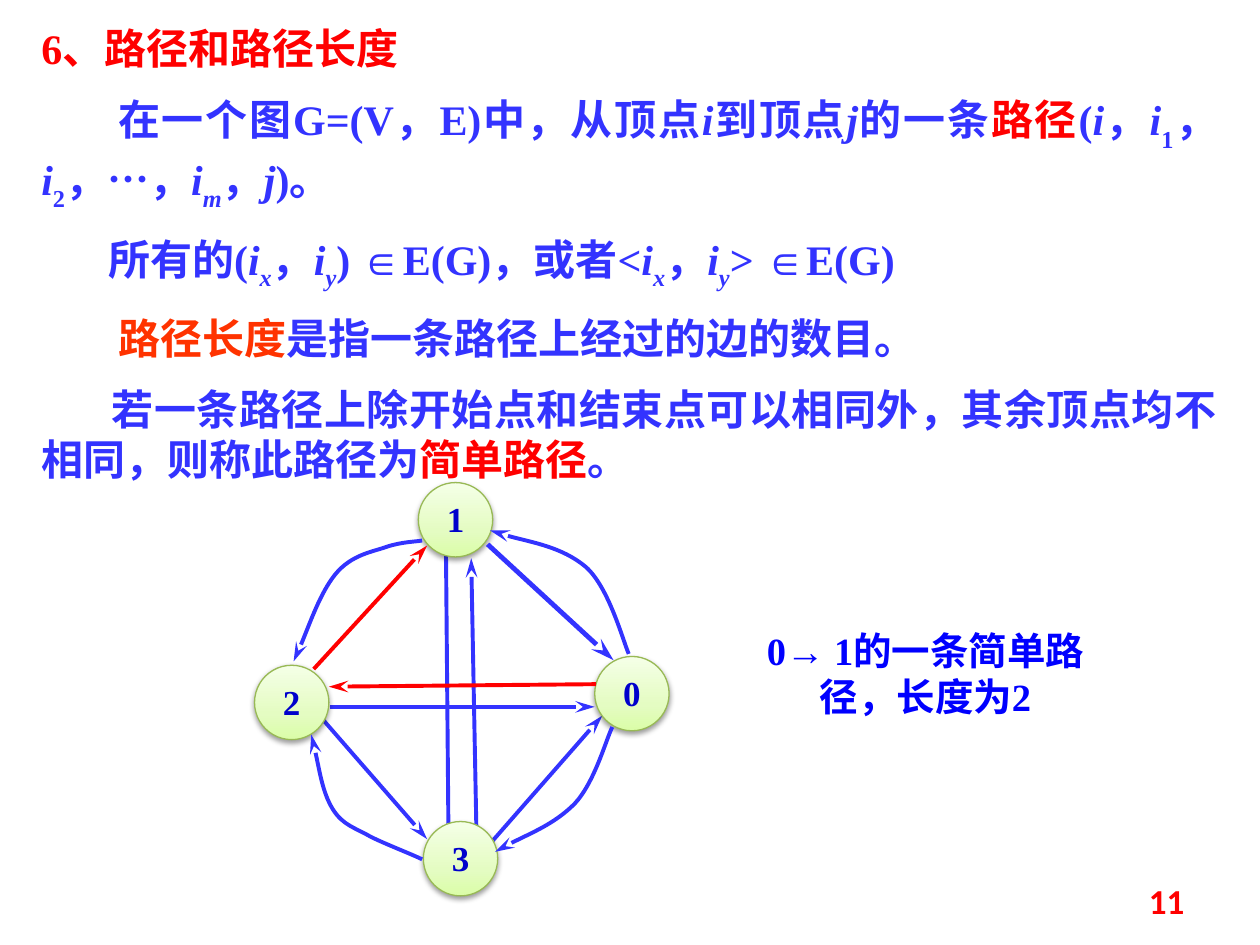
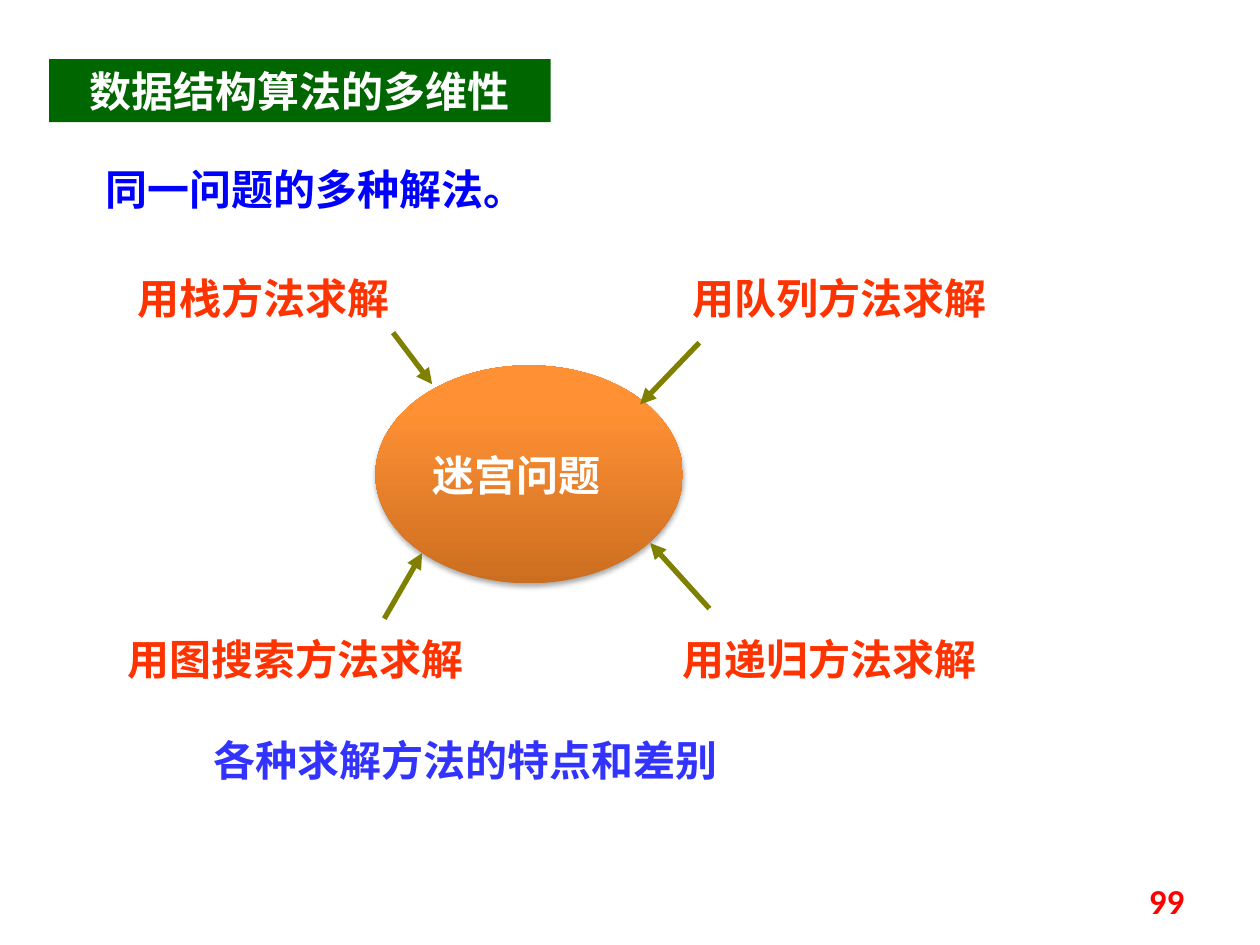
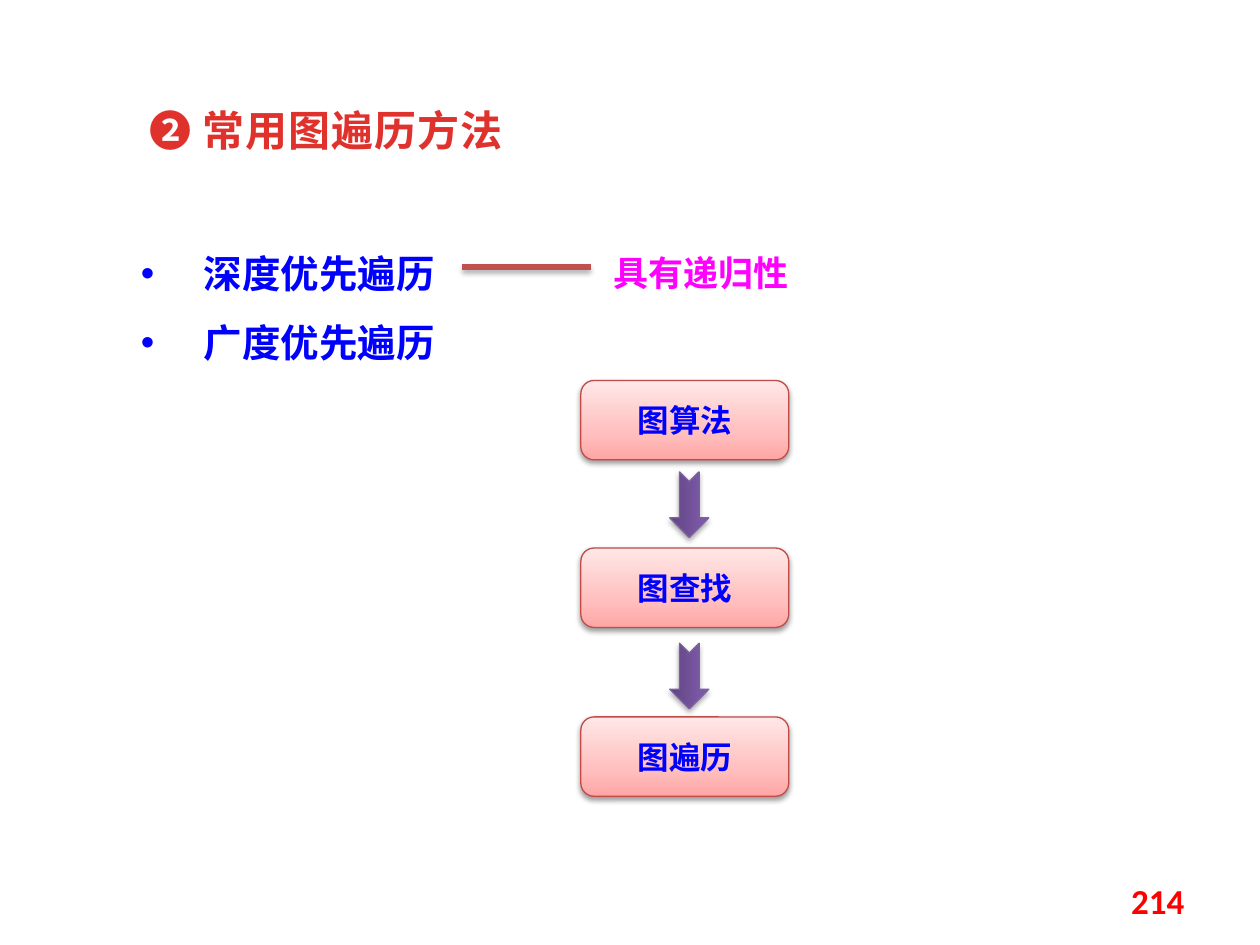
from copy import deepcopy
from dataclasses import dataclass
from typing import NamedTuple

from lxml.etree import SubElement
from pptx import Presentation
from pptx.dml.color import RGBColor
from pptx.enum.shapes import MSO_CONNECTOR as Connector, MSO_SHAPE as Preset
from pptx.enum.text import MSO_ANCHOR as Anchor, MSO_AUTO_SIZE as AutoSize, PP_ALIGN as Align
from pptx.oxml.ns import qn
from pptx.util import Inches, Pt

SERIF = "Times New Roman"
HAN = "Noto Sans CJK SC"
NUMBER_FONT = "Calibri"

RED = "FF0000"
ORANGE_RED = "FF3300"
INDIGO = "3333FF"
BLUE = "0000FF"
NODE_BLUE = "0000CC"
WHITE = "FFFFFF"
GREEN = "006600"
OLIVE = "808000"
MAGENTA = "FF00FF"
TITLE_RED = "E0322D"
BRICK = "C0504D"


class Box(NamedTuple):
    """Left, top, width and height in inches."""
    left: float
    top: float
    width: float
    height: float


class Run(NamedTuple):
    """A stretch of text and what sets it apart from its style."""
    text: str
    color: str = ""
    italic: bool = False
    baseline: int = 0
    font: str = ""


class Shadow(NamedTuple):
    """Opacity in percent and distance in points of a downward shadow."""
    opacity: int
    distance: float


@dataclass(frozen=True)
class TextStyle:
    """Character and paragraph settings of a text."""
    size: float
    color: str
    font: str = HAN
    align: Align = Align.LEFT
    line_spacing: float | Pt | None = None
    space_before: float = 0
    bullet: bool = False
    tracking: int = 0


@dataclass(frozen=True)
class Look:
    """Gradient, outline and shadow of a shape."""
    stops: tuple[tuple[float, str], ...]
    shadow: Shadow
    line: str = ""


class Arrow(NamedTuple):
    """A straight line with an arrowhead at its end."""
    start: tuple[float, float]
    end: tuple[float, float]
    color: str = INDIGO
    width: float = 2.25
    head: str = "stealth"


class Label(NamedTuple):
    """A method's caption and its arrow to the problem."""
    text: str
    box: Box
    arrow: Arrow


SOFT_SHADOW = Shadow(38, 1.6)
DEEP_SHADOW = Shadow(35, 1.8)
NODE_LOOK = Look(((0, "DAFDA7"), (0.35, "E4FCC2"), (1, "F5FFE7")), SOFT_SHADOW, "98B955")
MAZE_LOOK = Look(((0, "CC6E20"), (0.8, "FF9034"), (1, "FF9136")), DEEP_SHADOW)
STEP_LOOK = Look(((0, "FFA6A5"), (0.35, "FFC0BF"), (1, "FFE7E7")), SOFT_SHADOW, "BF4C48")
DOWN_LOOK = Look(((0, "5F4480"), (0.8, "7B58A6"), (1, "7C57A8")), DEEP_SHADOW, "7D60A0")

PAGE_NUMBER = TextStyle(20, RED, NUMBER_FONT, Align.RIGHT)
DEFINITION = TextStyle(24, INDIGO, SERIF, Align.JUSTIFY, space_before=12)
NODE_TEXT = TextStyle(20, NODE_BLUE, SERIF, Align.CENTER, 0.72)
METHOD = TextStyle(24, ORANGE_RED)
STEP_TEXT = TextStyle(18, BLUE, align=Align.CENTER)


def rgb(color: str) -> RGBColor:
    """Turn a hex string into a colour."""
    return RGBColor.from_string(color)


def italic(text: str) -> Run:
    """Make an italic run."""
    return Run(text, italic=True)


def subscript(text: str, slanted: bool = False, baseline: int = -30) -> Run:
    """Make a subscript run."""
    return Run(text, italic=slanted, baseline=baseline)


def add_run(paragraph, run: Run, style: TextStyle) -> None:
    """Append one run to a paragraph."""
    piece = paragraph.add_run()
    piece.text = run.text
    font = piece.font
    font.name = run.font or style.font
    font.size = Pt(style.size)
    font.bold = True
    font.italic = run.italic
    font.color.rgb = rgb(run.color or style.color)
    properties = piece._r.get_or_add_rPr()
    SubElement(properties, qn("a:ea"), typeface=HAN)
    if run.baseline:
        properties.set("baseline", str(run.baseline * 1000))
    if style.tracking:
        properties.set("spc", str(style.tracking))


def write(shape, paragraphs: list[list[Run]], style: TextStyle,
          indents: tuple[float, ...] = ()) -> None:
    """Fill a shape with paragraphs of runs."""
    frame = shape.text_frame
    for index, runs in enumerate(paragraphs):
        paragraph = frame.add_paragraph() if index else frame.paragraphs[0]
        paragraph.alignment = style.align
        if style.line_spacing:
            paragraph.line_spacing = style.line_spacing
        if index and style.space_before:
            paragraph.space_before = Pt(style.space_before)
        properties = paragraph._p.get_or_add_pPr()
        if indents:
            properties.set("indent", str(Inches(indents[index])))
        if style.bullet:
            properties.set("marL", str(Inches(0.5)))
            properties.set("indent", str(Inches(-0.5)))
            SubElement(properties, qn("a:buFont"), typeface="Arial")
            SubElement(properties, qn("a:buChar"), char="•")
        for run in runs:
            add_run(paragraph, run, style)


def add_text(slide, box: Box, paragraphs: list[list[Run]], style: TextStyle,
             indents: tuple[float, ...] = (), grow: bool = True):
    """Add a wrapping text box."""
    shape = slide.shapes.add_textbox(*map(Inches, box))
    frame = shape.text_frame
    frame.word_wrap = True
    frame.auto_size = AutoSize.SHAPE_TO_FIT_TEXT if grow else AutoSize.NONE
    write(shape, paragraphs, style, indents)
    return shape


def set_shadow(shape, shadow: Shadow | None = None) -> None:
    """Give a shape its own shadow, or none."""
    effects = SubElement(shape._element.spPr, qn("a:effectLst"))
    if shadow:
        outer = SubElement(effects, qn("a:outerShdw"), blurRad=str(Pt(3.1)),
                           dist=str(Pt(shadow.distance)), dir="5400000", rotWithShape="0")
        color = SubElement(outer, qn("a:srgbClr"), val="000000")
        SubElement(color, qn("a:alpha"), val=str(shadow.opacity * 1000))


def set_line(shape, color: str, width: float, head: str = "") -> None:
    """Set a line's colour, width and arrowhead."""
    shape.line.color.rgb = rgb(color)
    shape.line.width = Pt(width)
    if head:
        SubElement(shape._element.spPr.find(qn("a:ln")), qn("a:tailEnd"), type=head,
                   w="med", len="lg" if head == "stealth" else "med")


def add_gradient_shape(slide, preset: Preset, box: Box, look: Look):
    """Add a preset shape shaded from bottom to top."""
    shape = slide.shapes.add_shape(preset, *map(Inches, box))
    shape.fill.gradient()
    shape.fill.gradient_angle = 90
    stop_list = shape._element.spPr.find(f"{qn('a:gradFill')}/{qn('a:gsLst')}")
    stop_list.append(deepcopy(stop_list[0]))
    for stop, (position, color) in zip(shape.fill.gradient_stops, look.stops):
        stop.position = position
        stop.color.rgb = rgb(color)
    if look.line:
        set_line(shape, look.line, 0.75)
    else:
        shape.line.fill.background()
    set_shadow(shape, look.shadow)
    return shape


def add_arrow(slide, arrow: Arrow, shadow: Shadow | None = None) -> None:
    """Add a straight line."""
    line = slide.shapes.add_connector(Connector.STRAIGHT, *map(Inches, arrow.start + arrow.end))
    set_line(line, arrow.color, arrow.width, arrow.head)
    set_shadow(line, shadow)


def add_curve(slide, points: list[tuple[float, float]]) -> None:
    """Add an arrow along Bézier segments of three points each."""
    start, *rest = [(Inches(x), Inches(y)) for x, y in points]
    builder = slide.shapes.build_freeform(*start)
    builder.add_line_segments(rest, close=False)
    curve = builder.convert_to_shape()
    outline = curve._element.spPr.find(f".//{qn('a:path')}")
    segments = outline.findall(qn("a:lnTo"))
    for first in range(0, len(segments), 3):
        bend = SubElement(outline, qn("a:cubicBezTo"))
        for segment in segments[first:first + 3]:
            bend.append(segment[0])
            outline.remove(segment)
    curve.fill.background()
    set_line(curve, INDIGO, 2.25, "stealth")
    set_shadow(curve)


def new_slide(presentation, number: int):
    """Add a blank slide with its page number."""
    slide = presentation.slides.add_slide(presentation.slide_layouts[6])
    shape = add_text(slide, Box(7.17, 6.95, 2.33, 0.4), [[Run(str(number))]],
                     PAGE_NUMBER, grow=False)
    shape.text_frame.vertical_anchor = Anchor.MIDDLE
    return slide


def add_node(slide, name: str, left: float, top: float) -> None:
    """Add a numbered vertex of the graph."""
    node = add_gradient_shape(slide, Preset.OVAL, Box(left, top, 0.59, 0.59), NODE_LOOK)
    frame = node.text_frame
    frame.margin_left = frame.margin_right = frame.margin_bottom = 0
    frame.margin_top = Inches(0.12)
    frame.vertical_anchor = Anchor.TOP
    write(node, [[Run(name)]], NODE_TEXT)


def build_path_slide(presentation) -> None:
    """Define paths and show a simple one in a graph."""
    slide = new_slide(presentation, 11)
    comma = Run("，")
    pair = [italic("i"), subscript("x", True, -25), comma,
            italic("i"), subscript("y", True, -25)]
    definitions = [
        [Run("6、路径和路径长度", RED)],
        [Run("在一个图G=(V，E)中，从顶点"), italic("i"), Run("到顶点"), italic("j"),
         Run("的一条"), Run("路径", RED), Run("("), italic("i"), comma,
         italic("i"), subscript("1"), comma, italic("i"), subscript("2"), comma,
         Run("…", font=HAN), comma, italic("i"), subscript("m", True), comma,
         italic("j"), Run(")。")],
        [Run("所有的("), *pair, Run(") ∈E(G)，或者<"), *pair, Run("> ∈E(G)")],
        [Run("路径长度", ORANGE_RED), Run("是指一条路径上经过的边的数目。")],
        [Run("若一条路径上除开始点和结束点可以相同外，其余顶点均不相同，则称此路径为"),
         Run("简单路径", RED), Run("。")],
    ]
    add_text(slide, Box(0.23, 0.13, 9.53, 3.86), definitions, DEFINITION,
             (0, 0.61, 0.53, 0.61, 0.56))

    for arrow in (
        Arrow((3.54, 4.41), (3.56, 6.7), head="arrow"),
        Arrow((3.79, 7.05), (3.74, 4.43)),
        Arrow((2.62, 5.61), (4.72, 5.61)),
        Arrow((2.37, 5.49), (3.39, 6.66)),
        Arrow((3.79, 6.81), (4.78, 5.68)),
    ):
        add_arrow(slide, arrow)

    nodes = {"1": (3.32, 3.83), "0": (4.72, 5.21), "2": (2.02, 5.28), "3": (3.36, 6.52)}
    for name, (left, top) in nodes.items():
        add_node(slide, name, left, top)

    for points in (
        [(4.86, 5.77), (4.81, 5.87), (4.72, 6.21), (4.56, 6.38),
         (4.4, 6.54), (4.06, 6.68), (3.93, 6.76)],
        [(3.35, 4.29), (3.3, 4.3), (3.19, 4.3), (3.07, 4.34), (2.96, 4.38),
         (2.79, 4.4), (2.66, 4.56), (2.54, 4.71), (2.4, 5.11), (2.33, 5.25)],
        [(3.35, 6.82), (3.27, 6.78), (3.06, 6.7), (2.94, 6.64), (2.82, 6.57),
         (2.72, 6.55), (2.64, 6.42), (2.56, 6.29), (2.5, 5.93), (2.47, 5.83)],
        [(4.99, 5.19), (4.94, 5.07), (4.83, 4.66), (4.65, 4.5),
         (4.46, 4.34), (4.05, 4.27), (3.89, 4.21)],
    ):
        add_curve(slide, points)

    for arrow in (
        Arrow((4.73, 5.43), (2.61, 5.45), RED),
        Arrow((2.49, 5.31), (3.39, 4.33), RED),
        Arrow((3.87, 4.32), (4.87, 5.24), width=2.75),
    ):
        add_arrow(slide, arrow)
    add_text(slide, Box(5.94, 4.93, 2.81, 0.84), [[Run("0→ 1的一条简单路径，长度为2")]],
             TextStyle(22, BLUE, SERIF, Align.CENTER))


def build_maze_slide(presentation) -> None:
    """Show four ways to solve the maze problem."""
    slide = new_slide(presentation, 99)
    banner = slide.shapes.add_shape(Preset.RECTANGLE, *map(Inches, Box(0.39, 0.47, 3.98, 0.5)))
    banner.fill.solid()
    banner.fill.fore_color.rgb = rgb(GREEN)
    banner.line.fill.background()
    set_shadow(banner)
    write(banner, [[Run("数据结构算法的多维性")]], TextStyle(24, WHITE, align=Align.CENTER))
    add_text(slide, Box(0.62, 1.25, 3.44, 0.5), [[Run("同一问题的多种解法。")]],
             TextStyle(24, BLUE, SERIF, Align.CENTER))

    maze = add_gradient_shape(slide, Preset.OVAL, Box(2.98, 2.9, 2.44, 1.73), MAZE_LOOK)
    maze.text_frame.word_wrap = False
    write(maze, [[Run("迷宫问题")]], TextStyle(24, WHITE))

    olive = (OLIVE, 3, "triangle")
    for label in (
        Label("用栈方法求解", Box(0.99, 2.11, 2.91, 0.5), Arrow((3.12, 2.64), (3.43, 3.05), *olive)),
        Label("用队列方法求解", Box(5.4, 2.11, 2.99, 0.5), Arrow((5.55, 2.72), (5.08, 3.21), *olive)),
        Label("用图搜索方法求解", Box(0.91, 4.98, 3.15, 0.5), Arrow((3.05, 4.91), (3.35, 4.39), *olive)),
        Label("用递归方法求解", Box(5.32, 4.98, 3.07, 0.5), Arrow((5.63, 4.83), (5.16, 4.31), *olive)),
    ):
        add_text(slide, label.box, [[Run(label.text)]], METHOD)
        add_arrow(slide, label.arrow)
    add_text(slide, Box(0.78, 5.78, 5.83, 0.5), [[Run("各种求解方法的特点和差别")]],
             TextStyle(24, INDIGO, align=Align.CENTER))


def build_traversal_slide(presentation) -> None:
    """List the traversal methods and the steps leading to them."""
    slide = new_slide(presentation, 214)
    add_text(slide, Box(1.02, 1.75, 2.81, 1.14), [[Run("深度优先遍历")], [Run("广度优先遍历")]],
             TextStyle(22, BLUE, SERIF, line_spacing=1.5, bullet=True))
    add_text(slide, Box(1.09, 0.76, 3.75, 0.52), [[Run("❷ 常用图遍历方法")]],
             TextStyle(24, TITLE_RED, line_spacing=Pt(30), tracking=50))
    add_text(slide, Box(4.77, 1.86, 1.88, 0.52), [[Run("具有递归性")]],
             TextStyle(20, MAGENTA, SERIF, line_spacing=Pt(30)))
    add_arrow(slide, Arrow((3.67, 2.12), (4.69, 2.12), BRICK, 3, ""), DEEP_SHADOW)

    for name, top in (("图算法", 3.02), ("图查找", 4.35), ("图遍历", 5.69)):
        step = add_gradient_shape(slide, Preset.ROUNDED_RECTANGLE,
                                  Box(4.61, top, 1.65, 0.63), STEP_LOOK)
        write(step, [[Run(name)]], STEP_TEXT)
    for top in (3.85, 5.21):
        down = add_gradient_shape(slide, Preset.NOTCHED_RIGHT_ARROW,
                                  Box(5.21, top, 0.52, 0.31), DOWN_LOOK)
        down.rotation = 90


def main() -> None:
    """Build and save the slides."""
    presentation = Presentation()
    presentation.slide_width = Inches(10)
    presentation.slide_height = Inches(7.5)
    build_path_slide(presentation)
    build_maze_slide(presentation)
    build_traversal_slide(presentation)
    presentation.save("out.pptx")


if __name__ == "__main__":
    main()
